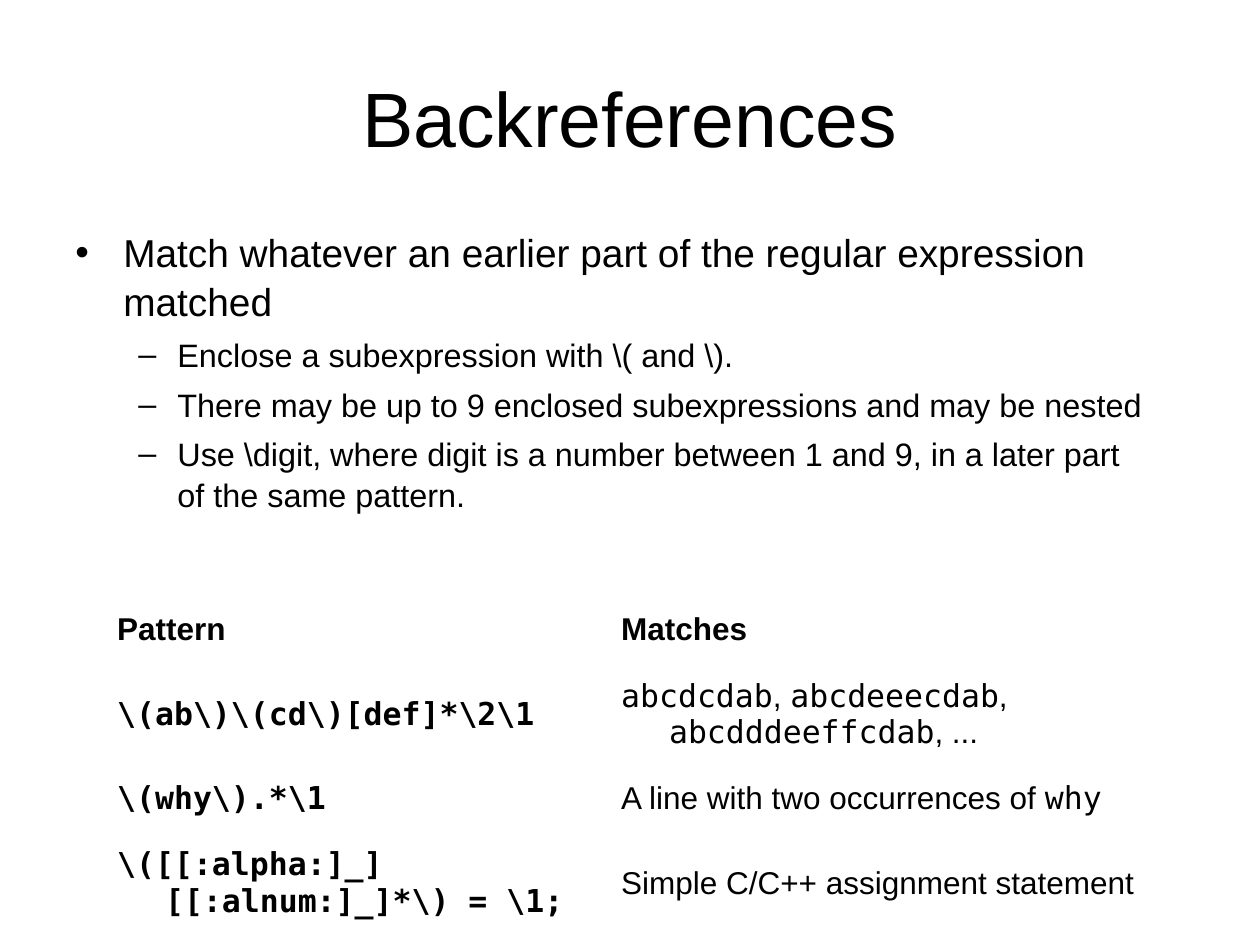
"""Build the Backreferences slide with its bullets and pattern table."""
from lxml import etree
from pptx import Presentation, util as u
from pptx.dml.color import RGBColor
from pptx.enum import text as t
from pptx.oxml.ns import qn

SANS, MONO, INK = "Arial", "DejaVu Sans Mono", "000000"
TITLE = "Backreferences"
POINTS = [
    (0, "Match whatever an earlier part of the regular expression matched"),
    (1, r"Enclose a subexpression with \( and \)."),
    (1, "There may be up to 9 enclosed subexpressions and may be nested"),
    (1, r"Use \digit, where digit is a number between 1 and 9, in a later part of the same pattern."),
]
LEVELS = [("•", 0.38, 0.38, 22.2, 6), ("–", 0.81, 0.31, 18.5, 5)]
HEAD = ("Pattern", "Matches")
ROWS = [
    (r"\(ab\)\(cd\)[def]*\2\1", [
        ("abcdcdab", MONO), (", ", SANS), ("abcdeeecdab", MONO),
        (", ", SANS), ("abcdddeeffcdab", MONO), (", ...", SANS)]),
    (r"\(why\).*\1", [("A line with two occurrences of ", SANS), ("why", MONO)]),
    (r"\([[:alpha:]_][[:alnum:]_]*\) = \1;", [("Simple C/C++ assignment statement", SANS)]),
]
WIDTHS, HEIGHTS = (4, 4.5), (0.65, 0.7, 0.64, 0.64)


def style(run, size, face=SANS, bold=False):
    font = run.font
    font.size, font.name, font.bold = u.Pt(size), face, bold
    font.color.rgb = RGBColor.from_string(INK)


def indent(para, left, hang):
    props = para._p.get_or_add_pPr()
    props.set("marL", str(u.Inches(left)))
    props.set("indent", str(-u.Inches(hang)))
    return props


def add_box(slide, *place):
    frame = slide.shapes.add_textbox(*map(u.Inches, place)).text_frame
    frame.word_wrap = True
    return frame


def add_title(slide):
    frame = add_box(slide, 0.5, 0.3, 9, 1.25)
    frame.vertical_anchor = t.MSO_ANCHOR.MIDDLE
    frame.text = TITLE
    para = frame.paragraphs[0]
    para.alignment = t.PP_ALIGN.CENTER
    style(para.runs[0], 44)


def add_points(slide):
    frame = add_box(slide, 0.5, 1.75, 8.75, 2.67)
    frame.text = "\n".join(line for _, line in POINTS)
    for para, (level, _) in zip(frame.paragraphs, POINTS):
        mark, left, hang, size, gap = LEVELS[level]
        para.level = level
        para.line_spacing = 1.05
        para.space_before = u.Pt(gap)
        props = indent(para, left, hang)
        etree.SubElement(props, qn("a:buFont")).set("typeface", SANS)
        etree.SubElement(props, qn("a:buChar")).set("char", mark)
        style(para.runs[0], size)


def fill_cell(cell, parts, bold):
    cell.fill.background()
    cell.vertical_anchor = t.MSO_ANCHOR.MIDDLE
    para = cell.text_frame.paragraphs[0]
    indent(para, 0.38, 0.38)
    for words, face in parts:
        run = para.add_run()
        run.text = words
        style(run, 18, face, bold)


def add_grid(slide):
    place = (0.83, 4.67, sum(WIDTHS), sum(HEIGHTS))
    grid = slide.shapes.add_table(
        len(HEIGHTS), len(WIDTHS), *map(u.Inches, place)).table
    grid.first_row = grid.horz_banding = False
    for col, width in zip(grid.columns, WIDTHS):
        col.width = u.Inches(width)
    for row, height in zip(grid.rows, HEIGHTS):
        row.height = u.Inches(height)
    for col, name in enumerate(HEAD):
        fill_cell(grid.cell(0, col), [(name, SANS)], True)
    for row, (pattern, match) in enumerate(ROWS, 1):
        fill_cell(grid.cell(row, 0), [(pattern, MONO)], True)
        fill_cell(grid.cell(row, 1), match, False)


def main():
    deck = Presentation()
    deck.slide_width, deck.slide_height = u.Inches(10), u.Inches(7.5)
    slide = deck.slides.add_slide(deck.slide_layouts[6])
    add_title(slide)
    add_points(slide)
    add_grid(slide)
    deck.save("out.pptx")


if __name__ == "__main__":
    main()
